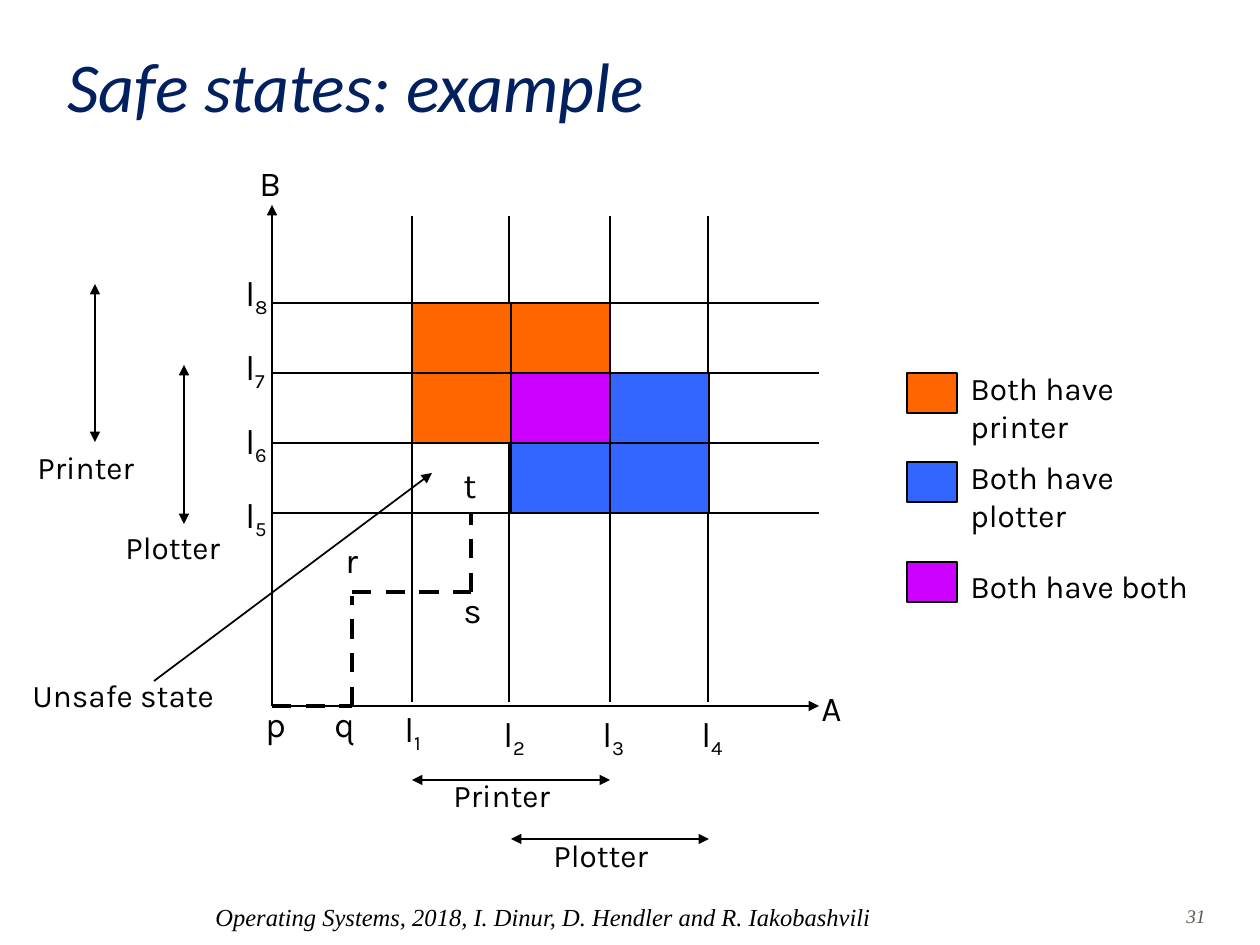
from lxml.etree import SubElement
from pptx import Presentation
from pptx.dml.color import RGBColor
from pptx.enum.dml import MSO_LINE_DASH_STYLE as Dash
from pptx.enum.shapes import MSO_CONNECTOR as Connector, MSO_SHAPE as Shape
from pptx.enum.text import MSO_ANCHOR as Anchor, PP_ALIGN as Align
from pptx.oxml.ns import qn
from pptx.util import Pt

EMU_PER_INCH = 914400
PX_PER_INCH = 126
COLORS = {
    "black": "000000",
    "navy": "002060",
    "gray": "5E574E",
    "printer": "FF6600",
    "plotter": "3366FF",
    "both": "CC00FF",
}
CELL_WIDTH, CELL_HEIGHT = 99, 70
GRID_LEFT, GRID_TOP = 412, 303
ORIGIN_X, ORIGIN_Y = 272, 706
AXIS_END = 819


def px(value):
    return round(value * EMU_PER_INCH / PX_PER_INCH)


def color(name):
    return RGBColor.from_string(COLORS[name])


def add_text(page, text, place, size=18, ink="black", subscript="",
             align=Align.LEFT, anchor=Anchor.TOP, **font_format):
    box = page.shapes.add_textbox(*map(px, place))
    frame = box.text_frame
    frame.word_wrap = True
    frame.vertical_anchor = anchor
    para = frame.paragraphs[0]
    para.alignment = align
    for words, baseline in ((text, None), (subscript, "-25000")):
        if not words:
            continue
        span = para.add_run()
        span.text = words
        values = {"name": "Karla", "size": Pt(size), **font_format}
        for key, value in values.items():
            setattr(span.font, key, value)
        span.font.color.rgb = color(ink)
        if baseline:
            span.font._element.set("baseline", baseline)


def add_line(page, start, end, width=1, dash=None, arrows=()):
    line = page.shapes.add_connector(
        Connector.STRAIGHT, *map(px, (*start, *end)))
    line.line.color.rgb = color("black")
    line.line.width = Pt(width)
    if dash:
        line.line.dash_style = dash
    outline = line.line._get_or_add_ln()
    for arrow in arrows:
        SubElement(outline, qn(f"a:{arrow}"), type="triangle")
    SubElement(line._element.spPr, qn("a:effectLst"))


def add_block(page, fill, place):
    block = page.shapes.add_shape(Shape.RECTANGLE, *map(px, place))
    block.shadow.inherit = False
    block.fill.solid()
    block.fill.fore_color.rgb = color(fill)
    block.line.color.rgb = color("black")
    block.line.width = Pt(1)


def add_axes(page):
    origin = (ORIGIN_X, ORIGIN_Y)
    for end in ((ORIGIN_X, 205), (AXIS_END, ORIGIN_Y)):
        add_line(page, origin, end, width=1.5, arrows=["tailEnd"])
    add_text(page, "A", (809, 680, 69, 55), size=20)
    add_text(page, "B", (247, 155, 69, 55), size=20)


def add_grid(page):
    for x in (412, 509, 610, 708):
        add_line(page, (x, 702), (x, 216))
    for row in range(4):
        y = GRID_TOP + row * CELL_HEIGHT
        add_line(page, (ORIGIN_X, y), (AXIS_END, y))
        add_text(page, "l", (233, 265 + row * 74, 79, 60), size=20,
                 subscript=str(8 - row))
    for number, (x, y) in enumerate(
            ((392, 701), (491, 706), (590, 706), (689, 706)), 1):
        add_text(page, "l", (x, y, 79, 60), size=20, subscript=str(number))


def add_regions(page):
    regions = {
        "printer": ((0, 1), (0, 0), (1, 0)),
        "plotter": ((1, 2), (2, 2), (2, 1)),
        "both": ((1, 1),),
    }
    for fill, cells in regions.items():
        for column, row in cells:
            place = (GRID_LEFT + column * CELL_WIDTH,
                     GRID_TOP + row * CELL_HEIGHT, CELL_WIDTH, CELL_HEIGHT)
            add_block(page, fill, place)


def add_trajectory(page):
    steps = (
        ((272, 706), (352, 706)),
        ((352, 706), (352, 596)),
        ((352, 592), (471, 592)),
        ((471, 592), (471, 513)),
    )
    for start, end in steps:
        add_line(page, start, end, width=2.75, dash=Dash.DASH)
    points = {"p": (253, 696), "q": (322, 696), "r": (333, 532),
              "s": (451, 582), "t": (451, 457)}
    for name, corner in points.items():
        add_text(page, name, (*corner, 49, 55), size=20)


def add_usage_spans(page):
    spans = (
        ("Printer", (412, 780), (610, 780), (441, 770)),
        ("Plotter", (511, 839), (709, 839), (541, 830)),
        ("Plotter", (184, 524), (184, 365), (113, 522)),
        ("Printer", (95, 442), (95, 284), (25, 442)),
    )
    for name, start, end, corner in spans:
        add_line(page, start, end, arrows=["headEnd", "tailEnd"])
        add_text(page, name, (*corner, 139, 50))


def add_legend(page):
    entries = (
        ("printer", 373, 363, 88),
        ("plotter", 462, 452, 88),
        ("both", 562, 561, 50),
    )
    for name, swatch_top, text_top, height in entries:
        add_block(page, name, (907, swatch_top, 50, 40))
        add_text(page, f"Both have {name}", (958, text_top, 268, height))


def main():
    deck = Presentation()
    deck.slide_width, deck.slide_height = px(1260), px(945)
    page = deck.slides.add_slide(deck.slide_layouts[6])
    add_text(page, "Safe states: example", (55, 32, 1071, 105), size=40,
             ink="navy", anchor=Anchor.MIDDLE, name="Calibri", italic=True)
    add_axes(page)
    add_grid(page)
    add_trajectory(page)
    add_usage_spans(page)
    add_regions(page)
    add_legend(page)
    add_line(page, (154, 681), (432, 473), arrows=["tailEnd"])
    add_text(page, "Unsafe state", (20, 670, 223, 50))
    add_text(page,
             "Operating Systems, 2018, I. Dinur, D. Hendler and R. Iakobashvili",
             (203, 896, 814, 63), size=14, name="Times New Roman", italic=True)
    add_text(page, "31", (966, 898, 252, 38), size=11, ink="gray",
             align=Align.RIGHT, name="Times New Roman", italic=True)
    deck.save("out.pptx")


if __name__ == "__main__":
    main()
